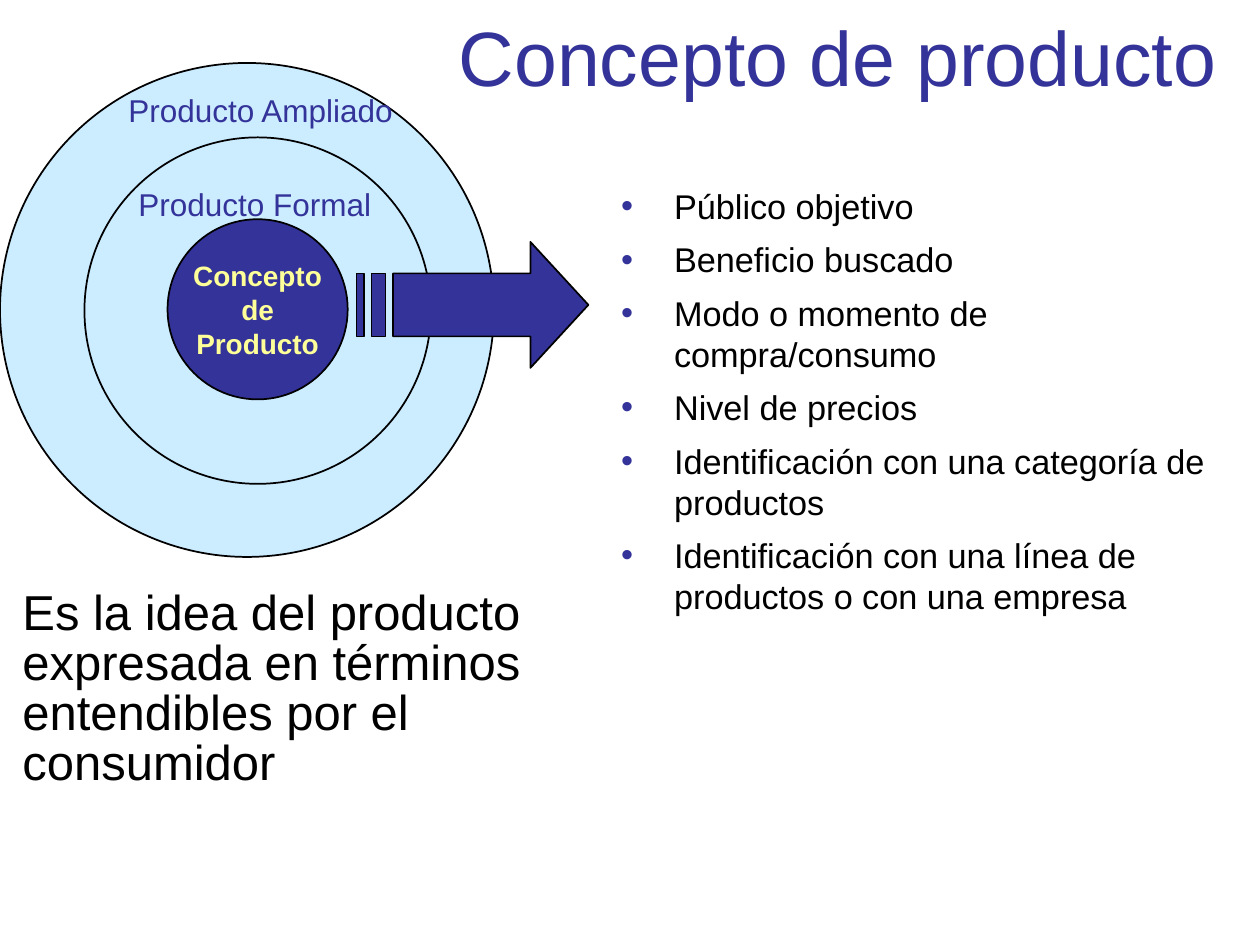
from lxml import etree
from pptx import Presentation
from pptx.dml.color import RGBColor
from pptx.enum.shapes import MSO_SHAPE
from pptx.enum.text import MSO_ANCHOR, MSO_AUTO_SIZE, PP_ALIGN
from pptx.oxml.ns import qn
from pptx.util import Inches, Pt

COLORS = {
    "navy": "333399",
    "sky": "CCECFF",
    "yellow": "FFFF99",
    "black": "000000",
}


def style_shape(shape, fill):
    shape.shadow.inherit = False
    shape.fill.solid()
    shape.fill.fore_color.rgb = RGBColor.from_string(COLORS[fill])
    shape.line.color.rgb = RGBColor.from_string(COLORS["black"])
    shape.line.width = Pt(1)


def write_text(shape, text, size, color, align=PP_ALIGN.LEFT, before=0, bold=False):
    text_frame = shape.text_frame
    text_frame.text = text
    text_frame.word_wrap = True
    text_frame.auto_size = MSO_AUTO_SIZE.NONE
    for paragraph in text_frame.paragraphs:
        paragraph.alignment = align
        paragraph.space_before = Pt(before)
        for run in paragraph.runs:
            run.font.name = "Arial"
            run.font.size = Pt(size)
            run.font.bold = bold
            run.font.color.rgb = RGBColor.from_string(COLORS[color])


presentation = Presentation()
presentation.slide_width = Inches(10)
presentation.slide_height = Inches(7.5)
slide = presentation.slides.add_slide(presentation.slide_layouts[1])

# Title
title = slide.shapes.title
title.left, title.top, title.width, title.height = (
    Inches(3.5), Inches(0), Inches(6.3), Inches(0.88))
write_text(title, "Concepto de producto", 44, "navy", PP_ALIGN.CENTER)
title.text_frame.vertical_anchor = MSO_ANCHOR.MIDDLE

# Bulleted list
concept_list = slide.placeholders[1]
concept_list.left, concept_list.top, concept_list.width, concept_list.height = (
    Inches(4.83), Inches(1.42), Inches(5), Inches(3.67))
concept_points = [
    "Público objetivo",
    "Beneficio buscado",
    "Modo o momento de compra/consumo",
    "Nivel de precios",
    "Identificación con una categoría de productos",
    "Identificación con una línea de productos o con una empresa",
]
write_text(concept_list, "\n".join(concept_points), 19.6, "black", before=7)
for paragraph in concept_list.text_frame.paragraphs:
    properties = paragraph._p.get_or_add_pPr()
    properties.set("marL", str(Inches(0.42)))
    properties.set("indent", str(-Inches(0.42)))
    bullet_color = etree.SubElement(properties, qn("a:buClr"))
    etree.SubElement(bullet_color, qn("a:srgbClr"), val=COLORS["navy"])
    etree.SubElement(properties, qn("a:buFont"), typeface="Arial")
    etree.SubElement(properties, qn("a:buChar"), char="•")

# Nested circles, from the outside in
circles = [
    (0, 0.5, 3.92, "sky"),
    (0.67, 1.09, 2.75, "sky"),
    (1.33, 1.74, 1.43, "navy"),
]
for left, top, diameter, fill in circles:
    circle = slide.shapes.add_shape(
        MSO_SHAPE.OVAL, Inches(left), Inches(top), Inches(diameter), Inches(diameter))
    style_shape(circle, fill)

# The last circle is the core
write_text(circle, "Concepto\vde\vProducto", 16, "yellow", PP_ALIGN.CENTER, bold=True)
circle.text_frame.word_wrap = False
circle.text_frame.vertical_anchor = MSO_ANCHOR.MIDDLE

# Ring labels and definition
text_boxes = [
    ("Producto Formal", 1, 1.42, 2.34, 0.46, 18, "navy", 4.5),
    ("Producto Ampliado", 0.92, 0.67, 2.58, 0.46, 18, "navy", 4.5),
    ("Es la idea del producto expresada en términos entendibles por el consumidor",
     0.08, 4.64, 4.33, 1.69, 28, "black", 0),
]
for text, left, top, width, height, size, color, before in text_boxes:
    text_box = slide.shapes.add_textbox(
        Inches(left), Inches(top), Inches(width), Inches(height))
    write_text(text_box, text, size, color, before=before)

# The last text box is the definition
text_box.text_frame.paragraphs[0].line_spacing = 0.85

# Striped arrow: head and shaft, then two stripes
shaft_top, shaft_bottom = 2.17, 2.67
arrow_outlines = [
    [(3.12, shaft_top), (4.21, shaft_top), (4.21, 1.92), (4.67, 2.42),
     (4.21, 2.92), (4.21, shaft_bottom), (3.12, shaft_bottom)],
]
for left, right in [(2.83, 2.89), (2.95, 3.06)]:
    arrow_outlines.append([(left, shaft_top), (right, shaft_top),
                           (right, shaft_bottom), (left, shaft_bottom)])
builder = slide.shapes.build_freeform(
    *arrow_outlines[0][0], scale=Inches(1))
for number, outline in enumerate(arrow_outlines):
    points = [(Inches(x), Inches(y)) for x, y in outline]
    if number == 0:
        builder = slide.shapes.build_freeform(*points[0], scale=1)
    else:
        builder.move_to(*points[0])
    builder.add_line_segments(points[1:], close=True)
arrow = builder.convert_to_shape()
style_shape(arrow, "navy")

presentation.save("out.pptx")
